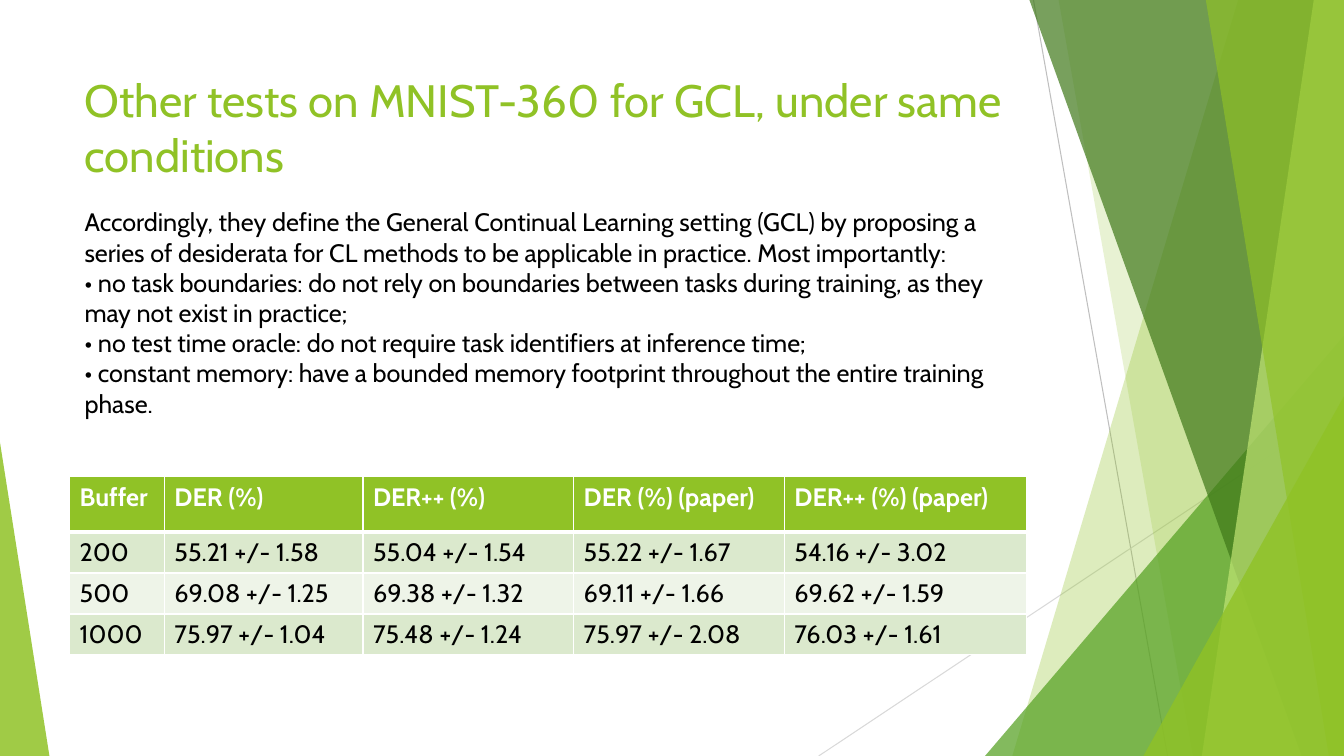
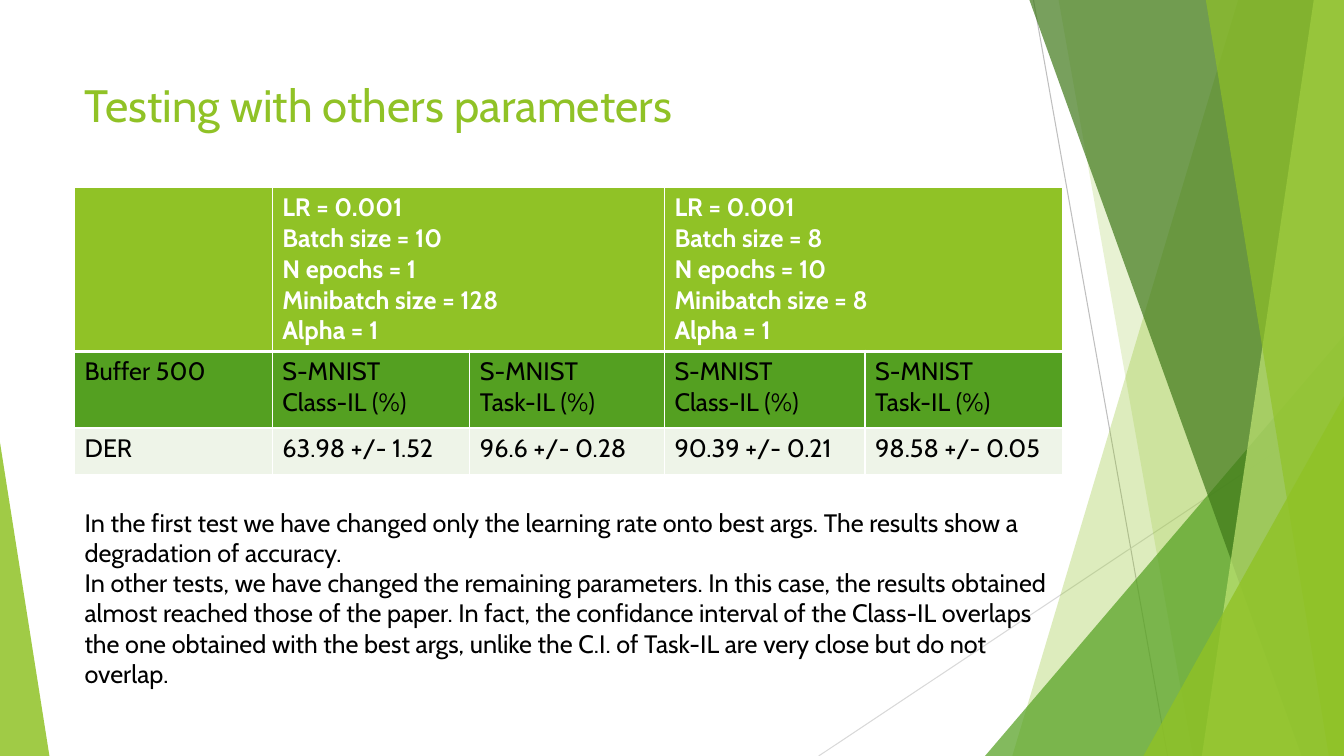
from lxml import etree
from pptx import Presentation
from pptx.dml.color import RGBColor
from pptx.enum.shapes import MSO_CONNECTOR, MSO_SHAPE
from pptx.enum.text import MSO_ANCHOR, MSO_AUTO_SIZE, PP_ALIGN
from pptx.oxml.ns import qn
from pptx.util import Inches, Pt

STRAIGHT = MSO_CONNECTOR.STRAIGHT
TRIANGLE = MSO_SHAPE.ISOSCELES_TRIANGLE
TOP = MSO_ANCHOR.TOP
LEFT = PP_ALIGN.LEFT
NO_AUTOFIT = MSO_AUTO_SIZE.NONE
GROW = MSO_AUTO_SIZE.SHAPE_TO_FIT_TEXT

WIDTH, HEIGHT = 13.33, 7.5
MARGIN = 0.74
TITLE_ONLY = 5
FONT = "Cabin"
TITLE_SIZE, TEXT_SIZE = 32.4, 18
LIME, GREEN, FOREST, PALE_LIME = "90C226", "54A021", "3F7819", "C0E474"
BAND_DARK, BAND_LIGHT = "DBE9CD", "EEF4E8"
WHITE, BLACK = "FFFFFF", "000000"

GCL_TEXT = [
    "Accordingly, they define the General Continual Learning setting (GCL) by proposing a "
    "series of desiderata for CL methods to be applicable in practice. Most importantly:",
    "• no task boundaries: do not rely on boundaries between tasks during training, as they "
    "may not exist in practice;",
    "• no test time oracle: do not require task identifiers at inference time;",
    "• constant memory: have a bounded memory footprint throughout the entire training phase.",
]
GCL_RESULTS = [
    ["Buffer", "DER (%)", "DER++ (%)", "DER (%) (paper)", "DER++ (%) (paper)"],
    ["200", "55.21 +/- 1.58", "55.04 +/- 1.54", "55.22 +/- 1.67", "54.16 +/- 3.02"],
    ["500", "69.08 +/- 1.25", "69.38 +/- 1.32", "69.11 +/- 1.66", "69.62 +/- 1.59"],
    ["1000", "75.97 +/- 1.04", "75.48 +/- 1.24", "75.97 +/- 2.08", "76.03 +/- 1.61"],
]
FIRST_SETUP = "LR = 0.001\nBatch size = 10\nN epochs = 1\nMinibatch size = 128\nAlpha = 1"
SECOND_SETUP = "LR = 0.001\nBatch size = 8\nN epochs = 10\nMinibatch size = 8\nAlpha = 1"
PARAMETER_RESULTS = [
    ["", FIRST_SETUP, "", SECOND_SETUP, ""],
    ["Buffer 500"] + ["S-MNIST\nClass-IL (%)", "S-MNIST\nTask-IL (%)"] * 2,
    ["DER", "63.98 +/- 1.52", "96.6 +/- 0.28", "90.39 +/- 0.21", "98.58 +/- 0.05"],
]
PARAMETER_TEXT = [
    "In the first test we have changed only the learning rate onto best args. "
    "The results show a degradation of accuracy.",
    "In other tests, we have changed the remaining parameters. In this case, the results "
    "obtained almost reached those of the paper. In fact, the confidance interval of the "
    "Class-IL overlaps the one obtained with the best args, unlike the C.I. of Task-IL "
    "are very close but do not overlap.",
]


def rgb(color):
    """Turn a hex string into a colour."""
    return RGBColor.from_string(color)


def style_text(frame, size, color, bold=False):
    """Format every run of a text frame."""
    for paragraph in frame.paragraphs:
        paragraph.alignment = LEFT
        for run in paragraph.runs:
            run.font.name = FONT
            run.font.size = Pt(size)
            run.font.bold = bold
            run.font.color.rgb = rgb(color)


def fill_translucent(facet, color, opacity):
    """Fill a facet with a colour of the given opacity in percent."""
    facet.shadow.inherit = False
    facet.line.fill.background()
    facet.fill.solid()
    facet.fill.fore_color.rgb = rgb(color)
    color_node = facet.element.spPr.find(qn("a:solidFill"))[0]
    etree.SubElement(color_node, qn("a:alpha")).set("val", str(opacity * 1000))


def add_ray(slide, start, end, color):
    """Draw a thin straight line."""
    ray = slide.shapes.add_connector(STRAIGHT, *map(Inches, start + end))
    ray.line.color.rgb = rgb(color)
    ray.line.width = Pt(0.75)
    etree.SubElement(ray.element.spPr, qn("a:effectLst"))
    return ray


def add_band(slide, top_x, bottom_x, color, opacity):
    """Draw a full-height band from a slanted left side to the right edge."""
    builder = slide.shapes.build_freeform(Inches(top_x), 0)
    corners = [(WIDTH, 0), (WIDTH, HEIGHT), (bottom_x, HEIGHT)]
    builder.add_line_segments([(Inches(x), Inches(y)) for x, y in corners])
    band = builder.convert_to_shape()
    fill_translucent(band, color, opacity)
    return band


def add_corner(slide, left, top, width, apex, color, opacity):
    """Draw a right triangle that stands on the bottom edge."""
    corner = slide.shapes.add_shape(
        TRIANGLE, Inches(left), Inches(top), Inches(width), Inches(HEIGHT - top))
    corner.adjustments[0] = apex
    fill_translucent(corner, color, opacity)
    return corner


def decorate_layout(slide):
    """Draw the facets once and move them to the layout that the slides share."""
    facets = [
        add_ray(slide, (10.25, 0), (11.58, HEIGHT), "BFBFBF"),
        add_ray(slide, (WIDTH, 4.03), (8.12, HEIGHT), "D9D9D9"),
        add_band(slide, 12.28, 10.04, LIME, 30),
        add_band(slide, 10.5, 11.83, LIME, 20),
        add_corner(slide, 9.77, 3.33, 3.56, 1, GREEN, 72),
        add_band(slide, 10.21, 12.91, FOREST, 70),
        add_band(slide, 13.03, 11.92, PALE_LIME, 70),
        add_band(slide, 11.96, 13.18, LIME, 65),
        add_corner(slide, 11.34, 3.93, 1.99, 1, LIME, 80),
        add_corner(slide, 0, 4.39, 0.49, 0, LIME, 85),
    ]
    for number, facet in enumerate(facets, start=100):
        facet.element.xpath("./*[1]/p:cNvPr")[0].set("id", str(number))
        slide.slide_layout.shapes.element.append(facet.element)


def set_title(slide, wording, top, width):
    """Place and format the title placeholder."""
    title = slide.shapes.title
    title.left, title.top = Inches(MARGIN), Inches(top)
    title.width, title.height = Inches(width), Inches(0.84)
    frame = title.text_frame
    frame.text = wording
    frame.word_wrap = True
    frame.auto_size = NO_AUTOFIT
    frame.vertical_anchor = TOP
    style_text(frame, TITLE_SIZE, LIME)


def add_body(slide, paragraphs, top, width, height):
    """Add a wrapped block of body text."""
    body = slide.shapes.add_textbox(
        Inches(MARGIN), Inches(top), Inches(width), Inches(height))
    frame = body.text_frame
    frame.text = "\n".join(paragraphs)
    frame.word_wrap = True
    frame.auto_size = GROW
    style_text(frame, TEXT_SIZE, BLACK)


def set_borders(cell, row):
    """Give a cell white borders, with a thick rule under the header."""
    thick_side = {0: "B", 1: "T"}.get(row)
    properties = cell._tc.get_or_add_tcPr()
    for side in "LRTB":
        border = etree.SubElement(properties, qn("a:ln" + side))
        border.set("w", str(Pt(3 if side == thick_side else 1)))
        paint = etree.SubElement(border, qn("a:solidFill"))
        etree.SubElement(paint, qn("a:srgbClr")).set("val", WHITE)


def add_results(slide, rows, left, top, widths, heights, fills, merges=()):
    """Add a results table; merges lists header columns joined with the next."""
    table = slide.shapes.add_table(
        len(rows), len(widths), Inches(left), Inches(top),
        Inches(sum(widths)), Inches(sum(heights))).table
    table.horz_banding = False
    for column, width in zip(table.columns, widths):
        column.width = Inches(width)
    for index, (values, height, fill) in enumerate(zip(rows, heights, fills)):
        table.rows[index].height = Inches(height)
        is_header = index == 0
        for cell, value in zip(table.rows[index].cells, values):
            cell.text = value
            style_text(cell.text_frame, TEXT_SIZE, WHITE if is_header else BLACK, is_header)
            set_borders(cell, index)
            cell.fill.solid()
            cell.fill.fore_color.rgb = rgb(fill)
    for column in merges:
        table.cell(0, column).merge(table.cell(0, column + 1))


def build_gcl_slide(slide):
    """Fill the slide on the MNIST-360 tests."""
    set_title(slide, "Other tests on MNIST-360 for GCL, under same conditions", 0.67, 9.4)
    add_results(slide, GCL_RESULTS, 0.69, 4.73, [0.94, 1.97, 2.09, 2.09, 2.4],
                [0.55] + [0.4] * 3, [LIME, BAND_DARK, BAND_LIGHT, BAND_DARK])
    add_body(slide, GCL_TEXT, 2, 9.38, 2.52)


def build_parameter_slide(slide):
    """Fill the slide on the other parameters."""
    set_title(slide, "Testing with others parameters", 0.72, 7.14)
    add_results(slide, PARAMETER_RESULTS, MARGIN, 1.86, [1.96, 1.96, 1.93, 1.99, 1.96],
                [1.62, 0.76, 0.46], [LIME, GREEN, BAND_LIGHT], merges=(1, 3))
    add_body(slide, PARAMETER_TEXT, 4.98, 9.79, 1.92)


def main():
    """Build and save the presentation."""
    deck = Presentation()
    deck.slide_width, deck.slide_height = Inches(WIDTH), Inches(HEIGHT)
    layout = deck.slide_layouts[TITLE_ONLY]
    gcl_slide, parameter_slide = [deck.slides.add_slide(layout) for _ in range(2)]
    decorate_layout(gcl_slide)
    build_gcl_slide(gcl_slide)
    build_parameter_slide(parameter_slide)
    deck.save("out.pptx")


if __name__ == "__main__":
    main()
